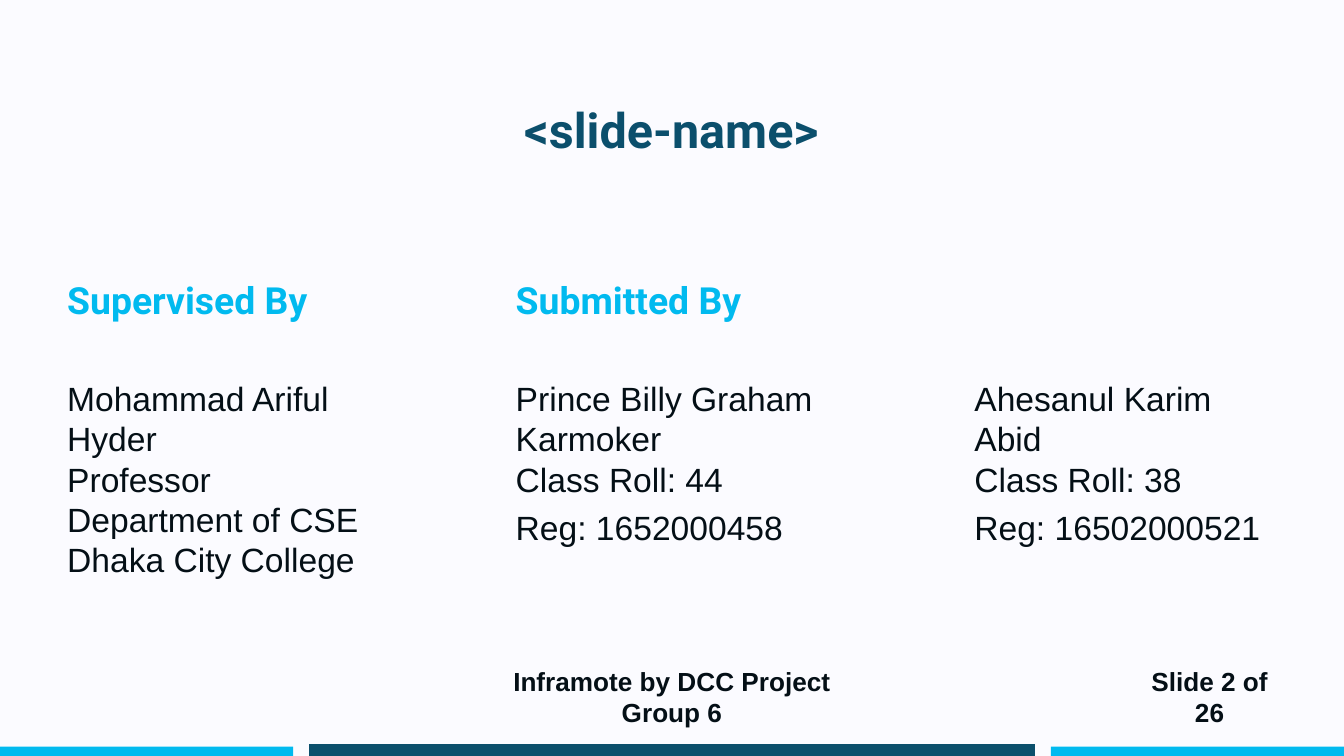
from dataclasses import dataclass

from pptx import Presentation
from pptx.dml.color import RGBColor
from pptx.enum.shapes import MSO_SHAPE
from pptx.enum.text import MSO_ANCHOR, PP_ALIGN
from pptx.util import Pt

RECTANGLE = MSO_SHAPE.RECTANGLE
TOP = MSO_ANCHOR.TOP
LEFT, CENTER = PP_ALIGN.LEFT, PP_ALIGN.CENTER
EMU_PER_PX = 5715  # 160 px to the inch
SLIDE_W, SLIDE_H = 1600, 900


@dataclass(frozen=True)
class Style:
    size: int
    font: str
    color: str
    bold: bool = False


@dataclass(frozen=True)
class Theme:
    background: str = "FBFBFF"
    accent: str = "01BAEF"
    dark: str = "0B4F6C"
    title: Style = Style(26, "Roboto", "0B4F6C", True)
    heading: Style = Style(20, "Roboto", "01BAEF", True)
    body: Style = Style(18, "Arial", "040F16")
    footer: Style = Style(14, "Arial", "040F16", True)


THEME = Theme()


def px(length):
    return length * EMU_PER_PX


def add_text(slide, box, paragraphs, style, align=LEFT, gap=0):
    """Each paragraph is a list of lines; gap is the space between paragraphs."""
    frame = slide.shapes.add_textbox(*map(px, box)).text_frame
    frame.word_wrap = True
    frame.vertical_anchor = TOP
    frame.margin_left = frame.margin_right = 0
    frame.margin_top = frame.margin_bottom = 0
    for index, lines in enumerate(paragraphs):
        paragraph = frame.paragraphs[0] if index == 0 else frame.add_paragraph()
        paragraph.alignment = align
        if index and gap:
            paragraph.space_before = Pt(gap)
        for number, line in enumerate(lines):
            if number:
                paragraph.add_line_break()
            run = paragraph.add_run()
            run.text = line
            run.font.size = Pt(style.size)
            run.font.name = style.font
            run.font.bold = style.bold
            run.font.color.rgb = RGBColor.from_string(style.color)


def add_bar(slide, box, color):
    bar = slide.shapes.add_shape(RECTANGLE, *map(px, box))
    bar.shadow.inherit = False
    bar.fill.solid()
    bar.fill.fore_color.rgb = RGBColor.from_string(color)
    bar.line.fill.background()


def add_credit(slide, box, heading, paragraphs, gap=0):
    """A column with an optional heading above the person's details."""
    left, top, width, height = box
    details_top = 120
    if heading:
        add_text(slide, (left, top, 320, 81), [[heading]], THEME.heading)
    details = (left, top + details_top, width, height - details_top)
    add_text(slide, details, paragraphs, THEME.body, gap=gap)


def add_bottom_bars(slide, box):
    """A taller centre bar between two equal side bars."""
    left, top, width, height = box
    side_width, space, side_height = 349, 19, 11
    side_top = top + height - side_height
    inset = side_width + space
    add_bar(slide, (left, side_top, side_width, side_height), THEME.accent)
    add_bar(slide, (left + inset, top, width - 2 * inset, height), THEME.dark)
    add_bar(slide, (left + width - side_width, side_top, side_width, side_height),
            THEME.accent)


def add_footer(slide, box, project, page):
    """Project name in the middle, page count at the right edge."""
    left, top, width, height = box
    name_width, page_width = 480, 160
    name_left = left + (width - name_width) // 2
    add_text(slide, (left + width - page_width, top, page_width, height),
             [[page]], THEME.footer, CENTER)
    add_text(slide, (name_left, top, name_width, height),
             [[project]], THEME.footer, CENTER)


def build_credits_slide(presentation):
    slide = presentation.slides.add_slide(presentation.slide_layouts[6])
    background = slide.background.fill
    background.solid()
    background.fore_color.rgb = RGBColor.from_string(THEME.background)

    # Supervisor
    add_credit(slide, (80, 330, 360, 360), "Supervised By", [
        ["Mohammad Ariful Hyder"],
        ["Professor"],
        ["Department of CSE"],
        ["Dhaka City College"],
    ])

    # Students
    students = [
        (614, 373, "Submitted By", "Prince Billy Graham Karmoker", 44, "1652000458"),
        (1160, 360, None, "Ahesanul Karim Abid", 38, "16502000521"),
    ]
    for left, width, heading, name, roll, registration in students:
        add_credit(slide, (left, 330, width, 321), heading, [
            [name, f"Class Roll: {roll}"],
            [f"Reg: {registration}"],
        ], gap=4)

    # Bars, title and footer
    add_bottom_bars(slide, (0, 886, SLIDE_W, 14))
    add_text(slide, (517, 119, 565, 81), [["<slide-name>"]], THEME.title, CENTER)
    add_footer(slide, (80, 792, 1440, 48),
               "Inframote by DCC Project Group 6", "Slide 2 of 26")


def main():
    presentation = Presentation()
    presentation.slide_width = px(SLIDE_W)
    presentation.slide_height = px(SLIDE_H)
    build_credits_slide(presentation)
    presentation.save("out.pptx")


if __name__ == "__main__":
    main()
